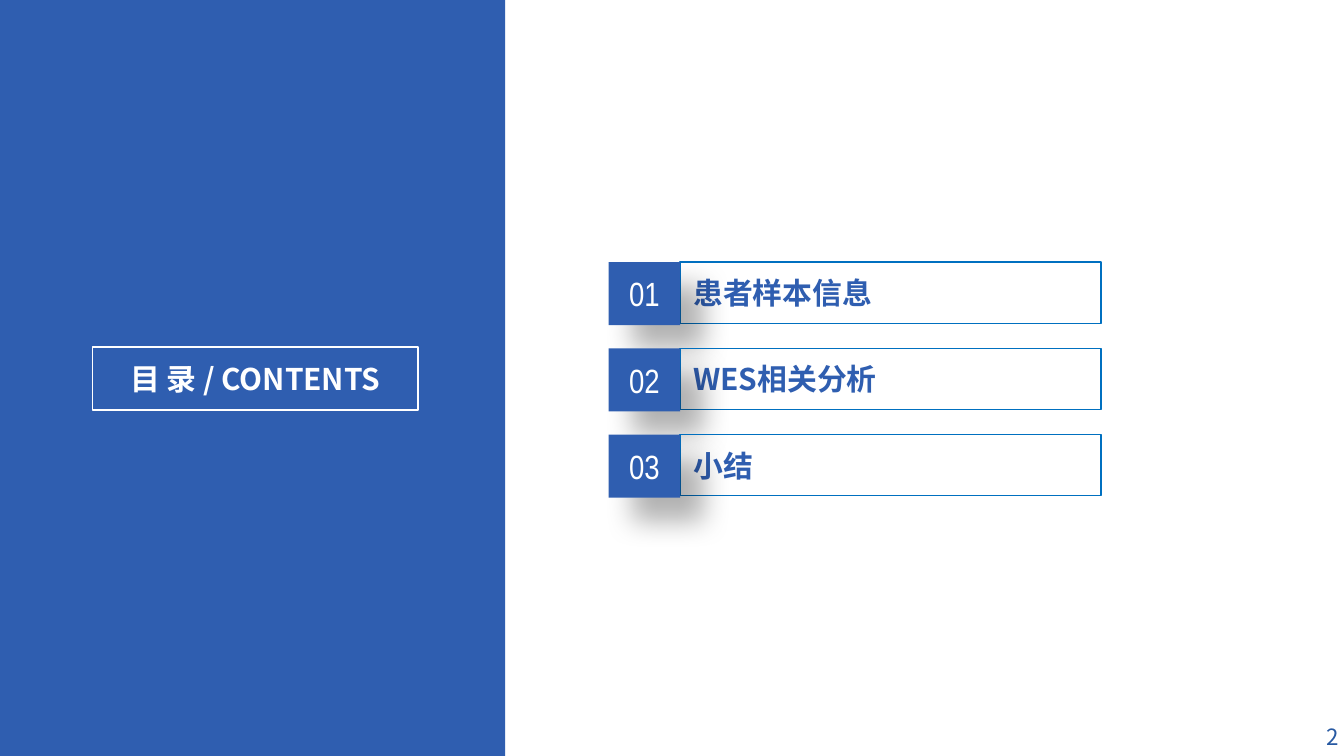
from lxml import etree
from pptx import Presentation
from pptx.dml.color import RGBColor
from pptx.enum.shapes import MSO_SHAPE
from pptx.enum.text import MSO_ANCHOR, PP_ALIGN
from pptx.oxml import parse_xml
from pptx.oxml.ns import nsdecls, qn
from pptx.util import Pt

TITLE = "目 录 / CONTENTS"
SECTIONS = ["患者样本信息", "WES相关分析", "小结"]
PAGE_NUMBER = "2"

COLORS = {"blue": "2F5EB0", "outline": "0070C0", "page": "2759A2", "white": "FFFFFF"}
HEADING_FONT, NUMBER_FONT = "Noto Sans CJK SC", "Arial Narrow"
RECTANGLE = MSO_SHAPE.RECTANGLE
LEFT, CENTER, RIGHT = PP_ALIGN.LEFT, PP_ALIGN.CENTER, PP_ALIGN.RIGHT
MIDDLE = MSO_ANCHOR.MIDDLE

SLIDE_WIDTH, SLIDE_HEIGHT = 720, 405
PANEL_WIDTH = 270.7
ROW_TOP, ROW_PITCH = 140.4, 46.2
NUMBER_LEFT, NUMBER_WIDTH, NUMBER_HEIGHT = 326, 38.4, 33.8
BAR_WIDTH, BAR_HEIGHT = 225.4, 32.8


def rgb(name):
    """Return the named colour."""
    return RGBColor.from_string(COLORS[name])


def write(shape, text, size, color, align, font=HEADING_FONT, bold=False):
    """Put one formatted, vertically centred line into a shape."""
    frame = shape.text_frame
    frame.text = text
    frame.word_wrap = True
    frame.vertical_anchor = MIDDLE
    paragraph = frame.paragraphs[0]
    paragraph.alignment = align
    run = paragraph.runs[0]
    run.font.size, run.font.bold, run.font.name = Pt(size), bold, font
    run.font.color.rgb = rgb(color)
    east_asian = etree.SubElement(run.font._element, qn("a:ea"))
    east_asian.set("typeface", font)


def add_box(slide, left, top, width, height, fill=None, line=None):
    """Add a rectangle with an optional fill and outline."""
    shape = slide.shapes.add_shape(RECTANGLE, Pt(left), Pt(top), Pt(width), Pt(height))
    shape.shadow.inherit = False
    if fill:
        shape.fill.solid()
        shape.fill.fore_color.rgb = rgb(fill)
    else:
        shape.fill.background()
    if line:
        shape.line.color.rgb = rgb(line)
        shape.line.width = Pt(0.75)
    else:
        shape.line.fill.background()
    return shape


def add_drop_shadow(shape):
    """Give a shape a soft shadow to the lower right."""
    effects = shape._element.spPr.find(qn("a:effectLst"))
    effects.append(parse_xml(
        f'<a:outerShdw {nsdecls("a")} blurRad="{Pt(15)}" dist="{Pt(18)}" '
        'dir="2700000" algn="tl" rotWithShape="0"><a:srgbClr val="000000">'
        '<a:alpha val="30000"/></a:srgbClr></a:outerShdw>'))


def add_section(slide, index, name):
    """Add one contents row: an outlined bar and its number."""
    top = ROW_TOP + index * ROW_PITCH
    bar = add_box(slide, NUMBER_LEFT + NUMBER_WIDTH, top, BAR_WIDTH, BAR_HEIGHT,
                  line="outline")
    write(bar, name, 16, "blue", LEFT, bold=True)
    number = add_box(slide, NUMBER_LEFT, top, NUMBER_WIDTH, NUMBER_HEIGHT, fill="blue")
    add_drop_shadow(number)
    write(number, f"{index + 1:02d}", 18, "white", CENTER, font=NUMBER_FONT)


presentation = Presentation()
presentation.slide_width, presentation.slide_height = Pt(SLIDE_WIDTH), Pt(SLIDE_HEIGHT)
slide = presentation.slides.add_slide(presentation.slide_layouts[5])

add_box(slide, 0, 0, PANEL_WIDTH, SLIDE_HEIGHT, fill="blue")

title = slide.shapes.title
title.left, title.top, title.width, title.height = Pt(49.7), Pt(185.8), Pt(174.2), Pt(33.8)
title.line.color.rgb = rgb("white")
title.line.width = Pt(0.75)
write(title, TITLE, 16, "white", CENTER, bold=True)
title.element.getparent().append(title.element)  # bring in front of the panel

page_number = slide.shapes.add_textbox(Pt(653.8), Pt(384.5), Pt(65.5), Pt(20.2))
write(page_number, PAGE_NUMBER, 12, "page", RIGHT)
page_number.text_frame.margin_right = Pt(2)

for index, name in enumerate(SECTIONS):
    add_section(slide, index, name)

presentation.save("out.pptx")
